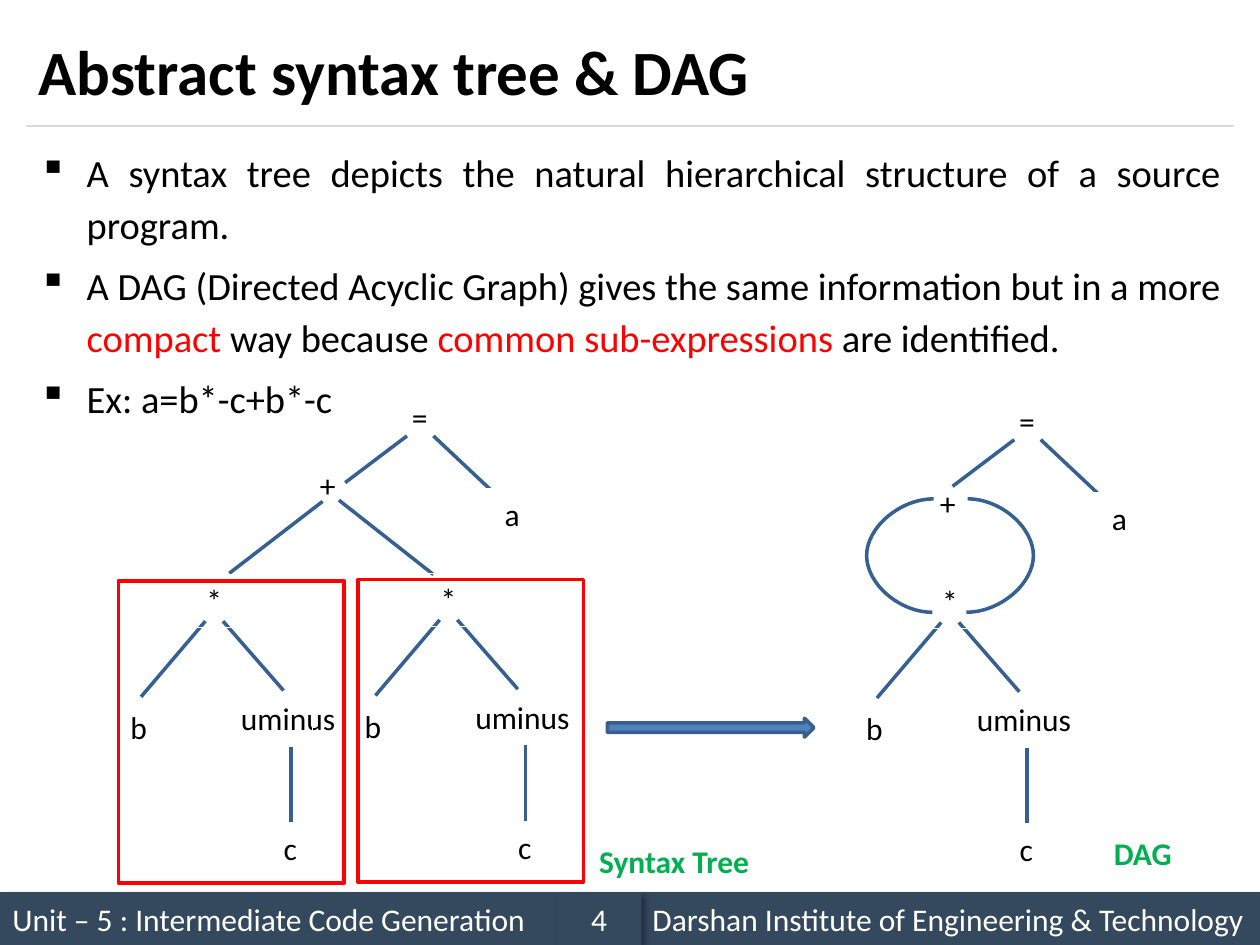
from lxml import etree
from pptx import Presentation
from pptx.dml.color import RGBColor
from pptx.enum.shapes import MSO_CONNECTOR, MSO_SHAPE
from pptx.enum.text import MSO_ANCHOR, PP_ALIGN
from pptx.oxml.ns import qn
from pptx.util import Inches, Pt

RECT, ARROW = MSO_SHAPE.RECTANGLE, MSO_SHAPE.RIGHT_ARROW
STRAIGHT, CURVE = MSO_CONNECTOR.STRAIGHT, MSO_CONNECTOR.CURVE
TOP, MIDDLE = MSO_ANCHOR.TOP, MSO_ANCHOR.MIDDLE
LEFT, CENTER, JUSTIFY = PP_ALIGN.LEFT, PP_ALIGN.CENTER, PP_ALIGN.JUSTIFY

COLORS = {
    "black": "000000", "white": "FFFFFF", "red": "FF0000", "green": "00B050",
    "bar": "34495E", "rule": "D9D9D9", "edge": "376092",
    "arrow": "4F81BD", "arrow_edge": "3A5F8C",
}
TITLE = {"size": Pt(36), "bold": True}
BODY = {"size": Pt(22), "bold": False}
LABEL = {"size": Pt(18), "bold": False}
CAPTION = {"size": Pt(18), "bold": True}
BULLET = {"alignment": JUSTIFY, "line_spacing": 1.14}

BULLETS = [
    [("A syntax tree depicts the natural hierarchical structure of a source program.", "black")],
    [("A DAG (Directed Acyclic Graph) gives the same information but in a more ", "black"),
     ("compact", "red"), (" way because ", "black"),
     ("common sub-expressions ", "red"), ("are identified.", "black")],
    [("Ex: a=b*-c+b*-c", "black")],
]


def rgb(name):
    """Return the named colour."""
    return RGBColor.from_string(COLORS[name])


def add_run(paragraph, text, style, color):
    """Append a styled run to a paragraph."""
    run = paragraph.add_run()
    run.text = text
    for key, value in {"name": "Calibri", **style}.items():
        setattr(run.font, key, value)
    run.font.color.rgb = rgb(color)


def add_text(slide, box, text, style, color, align=LEFT):
    """Add a vertically centred one-line text box."""
    frame = slide.shapes.add_textbox(*map(Inches, box)).text_frame
    frame.word_wrap, frame.vertical_anchor = True, MIDDLE
    frame.paragraphs[0].alignment = align
    add_run(frame.paragraphs[0], text, style, color)


def add_block(slide, box, fill=None, line=None, width=0.75, kind=RECT):
    """Add a flat preset shape with optional fill and outline."""
    block = slide.shapes.add_shape(kind, *map(Inches, box))
    block.shadow.inherit = False
    if fill:
        block.fill.solid()
        block.fill.fore_color.rgb = rgb(fill)
    else:
        block.fill.background()
    if line:
        block.line.color.rgb = rgb(line)
        block.line.width = Pt(width)
    else:
        block.line.fill.background()
    return block


def add_label(block, text, color="black", align=CENTER, anchor=TOP):
    """Write one line of text inside a shape."""
    frame = block.text_frame
    frame.word_wrap, frame.vertical_anchor = True, anchor
    frame.paragraphs[0].alignment = align
    add_run(frame.paragraphs[0], text, LABEL, color)


def add_edge(slide, start, end, color="edge", width=2, kind=STRAIGHT):
    """Add a shadowless connector between two points."""
    edge = slide.shapes.add_connector(kind, *map(Inches, (*start, *end)))
    edge.line.color.rgb = rgb(color)
    edge.line.width = Pt(width)
    etree.SubElement(edge._element.spPr, qn("a:effectLst"))
    return edge


def add_loop(slide, start, end, bulge):
    """Add a curved connector that bulges by a multiple of its width."""
    loop = add_edge(slide, start, end, kind=CURVE)
    adjustments = loop._element.spPr.find(qn("a:prstGeom")).get_or_add_avLst()
    etree.SubElement(adjustments, qn("a:gd"), name="adj1", fmla=f"val {bulge * 100000}")


def add_tree_part(slide, left, top, edges, nodes):
    """Draw edges and nodes given relative to the part's corner."""
    for x1, y1, x2, y2 in edges:
        add_edge(slide, (left + x1, top + y1), (left + x2, top + y2))
    for text, x, y, width, height, fill in nodes:
        add_label(add_block(slide, (left + x, top + y, width, height), fill, "white"), text)


def add_root(slide, left, top):
    """Draw the assignment node with its right child."""
    add_tree_part(slide, left, top,
                  [(0.44, 0.35, -0.05, 0.72), (0.65, 0.35, 1.15, 0.82)],
                  [("= ", 0, 0, 1.14, 0.3, "white"), ("a", 0.62, 0.77, 1.31, 0.47, "white")])


def add_product(slide, left, top):
    """Draw the subtree for b * -c."""
    add_tree_part(slide, left, top,
                  [(1.69, 1.36, 1.69, 2.18), (1.01, 0.37, 0.5, 0.97), (1.15, 0.37, 1.63, 0.92)],
                  [("*", 0.6, 0, 0.96, 0.42, None), ("c", 1.03, 1.97, 1.31, 0.47, "white"),
                   ("b", 0, 1.01, 0.96, 0.42, None), ("uminus ", 1.09, 0.94, 1.21, 0.42, None)])


def add_plus(slide, left, top, edges=()):
    """Draw the addition node under its outgoing edges."""
    add_tree_part(slide, left, top, (), [("+ ", 0, 0, 1.14, 0.51, "white")])
    add_tree_part(slide, left, top, edges, ())


def add_syntax_tree(slide, left, top):
    """Draw the syntax tree with its repeated subtrees."""
    add_plus(slide, left + 1.44, top + 0.54, [(0.63, 0.32, 1.38, 0.91), (0.5, 0.33, -0.24, 0.9)])
    add_product(slide, left, top + 1.45)
    add_product(slide, left + 1.86, top + 1.44)
    add_root(slide, left + 2.17, top)


def add_dag(slide, left, top):
    """Draw the DAG whose two operands share one subtree."""
    add_product(slide, left, top + 1.43)
    add_plus(slide, left + 0.52, top + 0.65)
    add_root(slide, left + 1.15, top)
    add_loop(slide, (left + 0.95, top + 0.82), (left + 0.94, top + 1.72), 54)
    add_loop(slide, (left + 1.21, top + 1.72), (left + 1.22, top + 0.82), 54)


def add_footer(slide, top, height):
    """Draw the footer bars with their soft shadow."""
    bars = [(0, 4.42, "Unit – 5 : Intermediate Code Generation", LEFT),
            (5.08, 4.92, "Darshan Institute of Engineering & Technology", LEFT),
            (4.42, 0.67, "4", CENTER)]
    for left, width, text, align in bars:
        bar = add_block(slide, (left, top, width, height), "bar")
        add_label(bar, text, "white", align, MIDDLE)
        effects = bar._element.spPr.find(qn("a:effectLst"))
        shadow = etree.SubElement(effects, qn("a:outerShdw"), blurRad=str(Pt(4)),
                                  dist=str(Pt(3)), dir="2700000", algn="tl", rotWithShape="0")
        tint = etree.SubElement(shadow, qn("a:srgbClr"), val=COLORS["black"])
        etree.SubElement(tint, qn("a:alpha"), val="40000")


def add_bullets(slide, box):
    """Write the justified bullet list."""
    frame = slide.shapes.add_textbox(*map(Inches, box)).text_frame
    frame.word_wrap = True
    for index, runs in enumerate(BULLETS):
        paragraph = frame.add_paragraph() if index else frame.paragraphs[0]
        properties = paragraph._p.get_or_add_pPr()
        properties.set("marL", str(Inches(0.38)))
        properties.set("indent", str(Inches(-0.38)))
        etree.SubElement(properties, qn("a:buChar"), char="▪")
        for key, value in {**BULLET, "space_before": Pt(4.4 if index else 0)}.items():
            setattr(paragraph, key, value)
        for text, color in runs:
            add_run(paragraph, text, BODY, color)


def main():
    """Build and save the slide."""
    deck = Presentation()
    deck.slide_width, deck.slide_height = Inches(10), Inches(7.5)
    slide = deck.slides.add_slide(deck.slide_layouts[6])
    add_footer(slide, 7.08, 0.42)
    add_edge(slide, (0.21, 1), (9.79, 1), "rule", 0.75)
    add_text(slide, (0.21, 0.12, 9.58, 0.88), "Abstract syntax tree & DAG", TITLE, "black")
    add_bullets(slide, (0.21, 1.08, 9.58, 5.83))
    add_syntax_tree(slide, 0.62, 3.11)
    add_dag(slide, 6.46, 3.14)
    for left, top in [(0.94, 4.61), (2.84, 4.6)]:
        add_block(slide, (left, top, 1.79, 2.4), line="red", width=2)
    add_block(slide, (4.82, 5.7, 1.64, 0.15), "arrow", "arrow_edge", 2, ARROW)
    add_text(slide, (4.16, 6.6, 2.38, 0.46), "Syntax Tree", CAPTION, "green", CENTER)
    add_text(slide, (7.88, 6.54, 2.38, 0.46), "DAG", CAPTION, "green", CENTER)
    deck.save("out.pptx")


if __name__ == "__main__":
    main()
